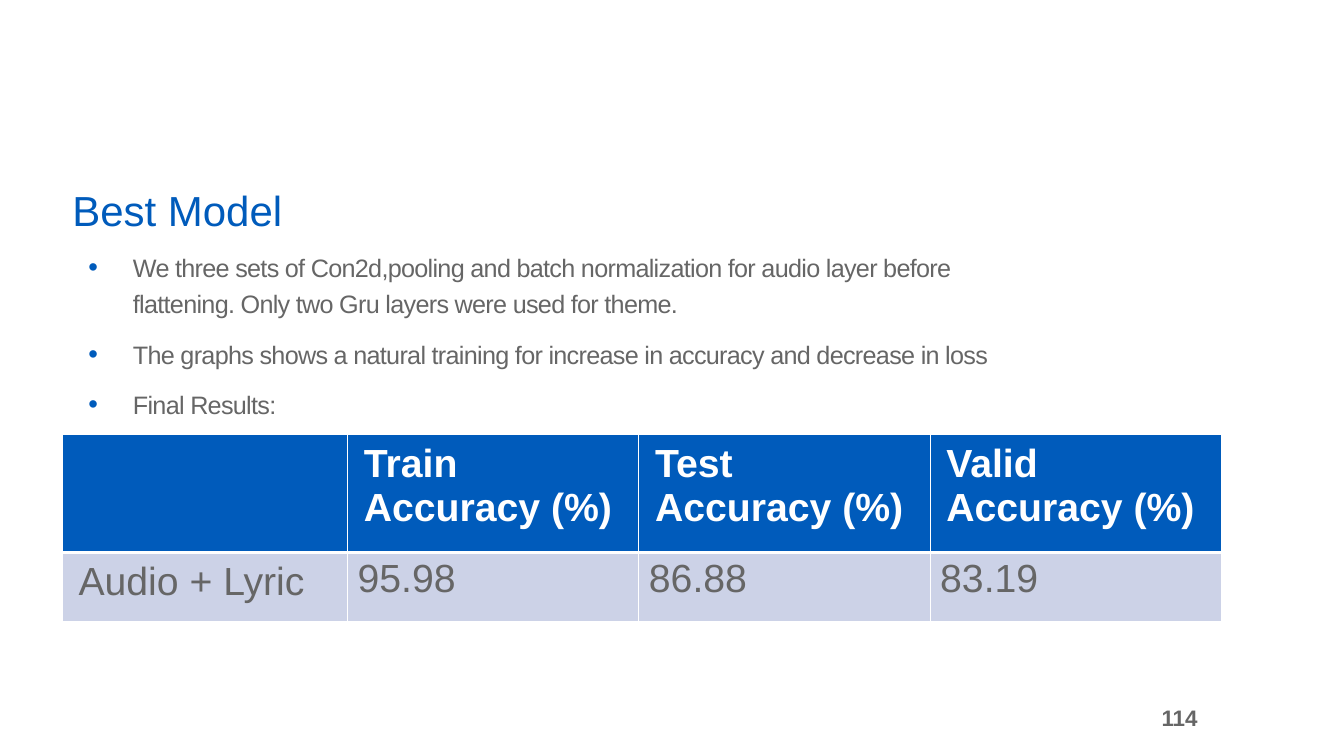
from lxml.etree import SubElement
from pptx import Presentation
from pptx.dml.color import RGBColor
from pptx.enum.text import MSO_ANCHOR, MSO_AUTO_SIZE, PP_ALIGN
from pptx.oxml.ns import qn
from pptx.util import Cm, Pt

BLUE = RGBColor(0x00, 0x5B, 0xBB)
GRAY = RGBColor(0x66, 0x66, 0x66)
PALE = RGBColor(0xCC, 0xD2, 0xE7)
WHITE = RGBColor(0xFF, 0xFF, 0xFF)

BULLETS = [
    "We three sets of Con2d,pooling and batch normalization for audio layer before "
    "flattening. Only two Gru layers were used for theme.",
    "The graphs shows a natural training for increase in accuracy and decrease in loss",
    "Final Results:",
]
RESULTS = [
    ["", "Train Accuracy (%)", "Test Accuracy (%)", "Valid Accuracy (%)"],
    ["Audio + Lyric", "95.98", "86.88", "83.19"],
]


def add_text(para, text, size, color, bold=False):
    span = para.add_run()
    span.text = text
    span.font.name = "Arial"
    span.font.size = Pt(size)
    span.font.bold = bold
    span.font.color.rgb = color
    return span


def set_borders(cell, widths):
    """Draw white cell borders; widths maps the sides L, R, T, B to points."""
    properties = cell._tc.get_or_add_tcPr()
    for side, width in widths.items():
        line = SubElement(properties, qn(f"a:ln{side}"), w=str(Pt(width)))
        fill = SubElement(line, qn("a:solidFill"))
        SubElement(fill, qn("a:srgbClr"), val=str(WHITE))


deck = Presentation()
deck.slide_width, deck.slide_height = Cm(33.87), Cm(19.05)
page = deck.slides.add_slide(deck.slide_layouts[1])

# Title
title = page.shapes.title
title.left, title.top, title.width, title.height = Cm(1.57), Cm(3.66), Cm(29.21), Cm(2.41)
title.text_frame.auto_size = MSO_AUTO_SIZE.NONE
title.text_frame.vertical_anchor = MSO_ANCHOR.BOTTOM
para = title.text_frame.paragraphs[0]
para.alignment = PP_ALIGN.LEFT
para.line_spacing = 0.9
add_text(para, "Best Model", 30, BLUE)

# Bullet list
body = page.placeholders[1]
body.left, body.top, body.width, body.height = Cm(1.57), Cm(6.07), Cm(24.77), Cm(10.36)
frame = body.text_frame
frame.auto_size = MSO_AUTO_SIZE.NONE
frame.margin_left = frame.margin_right = Cm(0.51)
for index, text in enumerate(BULLETS):
    para = frame.add_paragraph() if index else frame.paragraphs[0]
    properties = para._p.get_or_add_pPr()
    properties.set("marL", str(Cm(1.27)))
    properties.set("indent", str(Cm(-1.12)))
    bullet_color = SubElement(properties, qn("a:buClr"))
    SubElement(bullet_color, qn("a:srgbClr"), val=str(BLUE))
    SubElement(properties, qn("a:buSzPct"), val="109000")
    SubElement(properties, qn("a:buFont"), typeface="Arial")
    SubElement(properties, qn("a:buChar"), char="•")
    para.line_spacing = Pt(26)
    para.space_before = Pt(10 if index else 0)
    span = add_text(para, text, 18, GRAY)
    span._r.get_or_add_rPr().set("spc", "-50")

# Results table
table = page.shapes.add_table(2, 4, Cm(1.57), Cm(10.95), Cm(29.21), Cm(4.72)).table
for column, width in zip(table.columns, [7.19, 7.34, 7.34, 7.34]):
    column.width = Cm(width)
for row, height in zip(table.rows, [2.97, 1.75]):
    row.height = Cm(height)
for r, values in enumerate(RESULTS):
    header = r == 0
    for c, value in enumerate(values):
        cell = table.cell(r, c)
        set_borders(cell, {"L": 1, "R": 1, "T": 1 if header else 3, "B": 3 if header else 1})
        cell.fill.solid()
        cell.fill.fore_color.rgb = BLUE if header else PALE
        if header or c == 0:
            cell.margin_left = cell.margin_right = Cm(0.41)
            cell.margin_top = cell.margin_bottom = Cm(0.2)
        if value:
            add_text(cell.text_frame.paragraphs[0], value, 28, WHITE if header else GRAY, header)

# Page number
number = page.shapes.add_textbox(Cm(28.5), Cm(17.35), Cm(2.01), Cm(1.47))
frame = number.text_frame
frame.word_wrap = True
frame.vertical_anchor = MSO_ANCHOR.MIDDLE
frame.margin_left = frame.margin_right = Cm(0.33)
frame.margin_top = frame.margin_bottom = Cm(0.18)
para = frame.paragraphs[0]
para.alignment = PP_ALIGN.RIGHT
add_text(para, "114", 16, GRAY, True)

deck.save("out.pptx")
